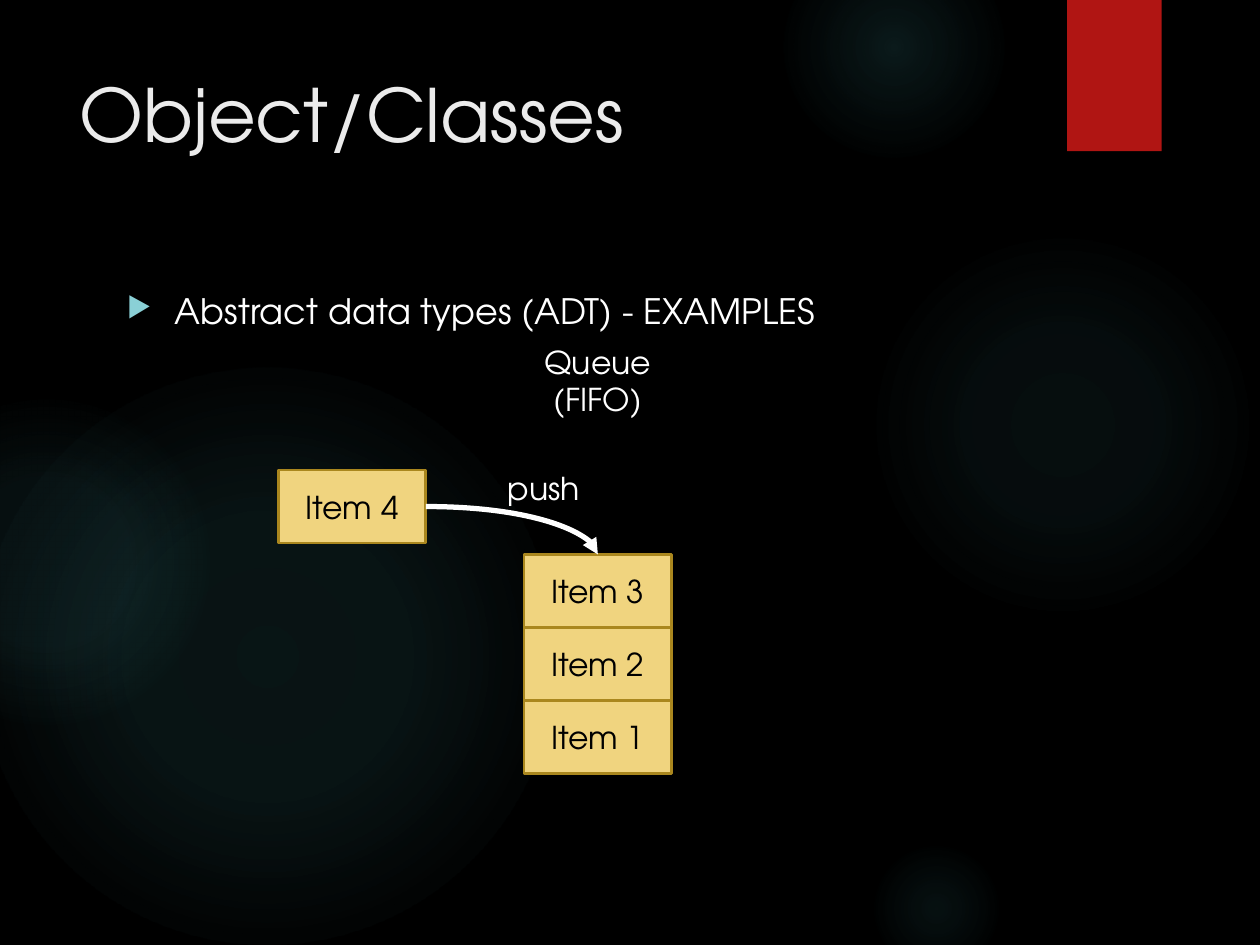
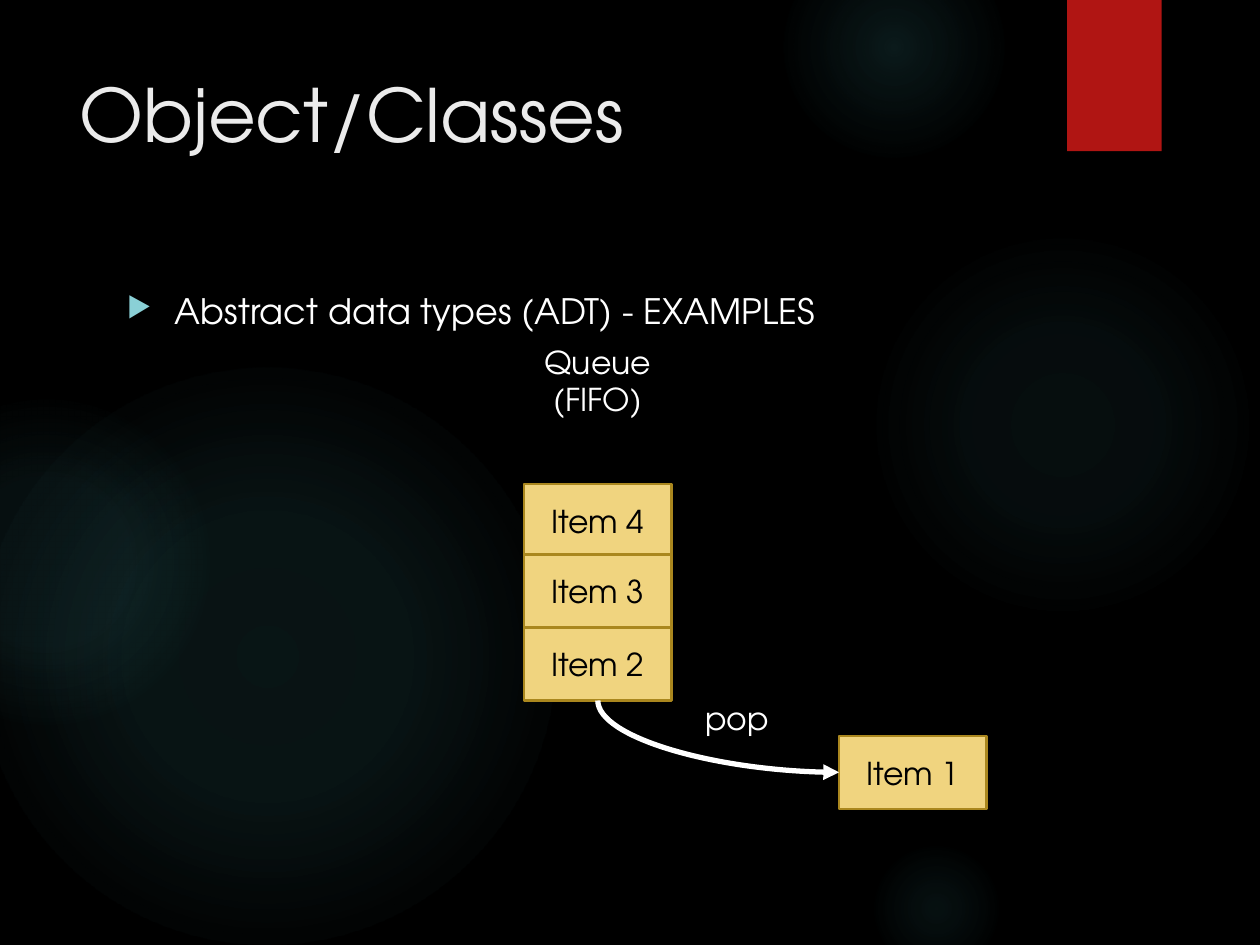
from pptx import Presentation
from pptx.dml.color import RGBColor
from pptx.enum.shapes import MSO_CONNECTOR, MSO_SHAPE
from pptx.enum.text import MSO_ANCHOR, MSO_AUTO_SIZE, PP_ALIGN
from pptx.oxml import parse_xml
from pptx.oxml.ns import nsdecls
from pptx.util import Inches, Pt

CURVE = MSO_CONNECTOR.CURVE
OVAL, RECTANGLE = MSO_SHAPE.OVAL, MSO_SHAPE.RECTANGLE
LEFT, CENTER = PP_ALIGN.LEFT, PP_ALIGN.CENTER
MIDDLE = MSO_ANCHOR.MIDDLE
GROW = MSO_AUTO_SIZE.SHAPE_TO_FIT_TEXT

BLACK = RGBColor(0x00, 0x00, 0x00)
WHITE = RGBColor(0xFF, 0xFF, 0xFF)
TITLE_COLOR = RGBColor(0xEB, 0xEB, 0xEB)
GLOW = RGBColor(0x50, 0xB9, 0xC1)
RED = RGBColor(0xB0, 0x15, 0x13)
BULLET = RGBColor(0x8A, 0xD0, 0xD6)
GOLD = RGBColor(0xF0, 0xD4, 0x7F)
GOLD_EDGE = RGBColor(0xAA, 0x87, 0x1E)
FONT = "TeX Gyre Adventor"

TITLE = "Object/Classes"
TOPIC = "Abstract data types (ADT) - EXAMPLES"
STRUCTURE = ["Queue", "(FIFO)"]

BOX_WIDTH, BOX_HEIGHT = 1.17, 0.58
QUEUE_LEFT, QUEUE_TOP = 4.16, 4.4
TOP_SITE, LEFT_SITE, BOTTOM_SITE, RIGHT_SITE = range(4)

# left, top, diameter, alpha at centre, alpha at 36 %, fade-out position
GLOWS = [
    (6.89, 1.83, 3.08, 7, 6, 69),
    (6.22, -0.5, 1.75, 14, 7, 73),
    (6.89, 6.67, 1.08, 9, 5, 66),
    (-0.17, 2.92, 4.58, 11, 10, 75),
    (-0.92, 3.17, 2.58, 8, 8, 72),
]

STEPS = [
    {
        "queue": ["Item 3", "Item 2", "Item 1"],
        "extra": [("Item 4", 2.21, 3.73)],
        "arrow": ("Item 4", RIGHT_SITE, "Item 3", TOP_SITE),
        "label": ("push", 3.93, 3.67),
    },
    {
        "queue": ["Item 3", "Item 2"],
        "extra": [("Item 4", QUEUE_LEFT, 3.84), ("Item 1", 6.66, 5.84)],
        "arrow": ("Item 2", BOTTOM_SITE, "Item 1", LEFT_SITE),
        "label": ("pop", 5.5, 5.5),
    },
]


def inches(*lengths):
    return [Inches(length) for length in lengths]


def write(shape, lines, size, color, align=LEFT):
    frame = shape.text_frame
    frame.word_wrap = True
    frame.text = "\n".join(lines)
    for paragraph in frame.paragraphs:
        paragraph.alignment = align
        paragraph.font.name = FONT
        paragraph.font.size = Pt(size)
        paragraph.font.color.rgb = color
    return frame


def add_text(slide, place, lines, size, color, align=LEFT):
    return write(slide.shapes.add_textbox(*inches(*place)), lines, size, color, align)


def add_glow(slide, left, top, diameter, center_alpha, middle_alpha, fade):
    shape = slide.shapes.add_shape(OVAL, *inches(left, top, diameter, diameter))
    shape.shadow.inherit = False
    shape.line.fill.background()
    shape.fill.background()
    stops = "".join(
        f'<a:gs pos="{position * 1000}"><a:srgbClr val="{GLOW}">'
        f'<a:alpha val="{alpha * 1000}"/></a:srgbClr></a:gs>'
        for position, alpha in [(0, center_alpha), (36, middle_alpha), (fade, 0)]
    )
    gradient = parse_xml(
        f'<a:gradFill {nsdecls("a")} rotWithShape="1"><a:gsLst>{stops}</a:gsLst>'
        '<a:path path="circle"><a:fillToRect l="50000" t="50000" r="50000" b="50000"/>'
        "</a:path></a:gradFill>"
    )
    properties = shape._element.spPr
    properties.replace(properties.find("{*}noFill"), gradient)


def add_ribbon(slide):
    ribbon = slide.shapes.add_shape(RECTANGLE, *inches(8.47, 0, 0.75, 1.2))
    ribbon.shadow.inherit = False
    ribbon.fill.solid()
    ribbon.fill.fore_color.rgb = RED
    ribbon.line.fill.background()
    ribbon._element.spPr.find("{*}effectLst").append(parse_xml(
        f'<a:outerShdw {nsdecls("a")} blurRad="{Pt(3)}" dist="{Pt(2)}" dir="5400000" '
        f'rotWithShape="0"><a:srgbClr val="{BLACK}"><a:alpha val="45000"/></a:srgbClr>'
        "</a:outerShdw>"
    ))


def add_topic(slide):
    paragraph = add_text(slide, (0.91, 2.25, 7.34, 4.59), [TOPIC], 20, WHITE).paragraphs[0]
    paragraph.space_before = Pt(10)
    properties = paragraph._p.get_or_add_pPr()
    properties.set("marL", str(Inches(0.38)))
    properties.set("indent", str(-Inches(0.38)))
    for bullet in (
        f'<a:buClr {nsdecls("a")}><a:srgbClr val="{BULLET}"/></a:buClr>',
        f'<a:buSzPct {nsdecls("a")} val="80000"/>',
        f'<a:buChar {nsdecls("a")} char="▶"/>',
    ):
        properties.insert_element_before(parse_xml(bullet), "a:tabLst", "a:defRPr", "a:extLst")


def add_item(slide, name, left, top):
    box = slide.shapes.add_shape(RECTANGLE, *inches(left, top, BOX_WIDTH, BOX_HEIGHT))
    box.shadow.inherit = False
    box.fill.solid()
    box.fill.fore_color.rgb = GOLD
    box.line.color.rgb = GOLD_EDGE
    box.line.width = Pt(1.5)
    write(box, [name], 18, BLACK, CENTER).vertical_anchor = MIDDLE
    return box


def add_arrow(slide, source, source_site, target, target_site):
    arrow = slide.shapes.add_connector(CURVE, 0, 0, Inches(1), Inches(1))
    arrow.end_connect(target, target_site)
    arrow.begin_connect(source, source_site)
    arrow.line.color.rgb = WHITE
    arrow.line.width = Pt(3)
    properties = arrow._element.spPr
    properties.find("{*}prstGeom").set("prst", "curvedConnector2")
    arrow.line._get_or_add_ln().append(parse_xml(f'<a:tailEnd {nsdecls("a")} type="triangle"/>'))
    properties.append(parse_xml(f'<a:effectLst {nsdecls("a")}/>'))
    if source_site == BOTTOM_SITE:
        width, height = arrow.width, arrow.height
        arrow.left += (width - height) // 2
        arrow.top += (height - width) // 2
        arrow.width, arrow.height = height, width
        transform = properties.find("{*}xfrm")
        transform.set("rot", "16200000")
        transform.set("flipH", "1")


def add_step(presentation, step):
    slide = presentation.slides.add_slide(presentation.slide_layouts[6])
    slide.background.fill.solid()
    slide.background.fill.fore_color.rgb = BLACK
    for glow in GLOWS:
        add_glow(slide, *glow)
    add_ribbon(slide)
    add_text(slide, (0.53, 0.5, 7.72, 1.53), [TITLE], 42, TITLE_COLOR)
    add_topic(slide)

    queue = [
        (name, QUEUE_LEFT, QUEUE_TOP + row * BOX_HEIGHT)
        for row, name in enumerate(step["queue"])
    ]
    boxes = {
        name: add_item(slide, name, left, top)
        for name, left, top in step["extra"] + queue
    }
    add_text(
        slide, (QUEUE_LEFT, 2.67, BOX_WIDTH, 0.71), STRUCTURE, 18, WHITE, CENTER
    ).auto_size = GROW
    source, source_site, target, target_site = step["arrow"]
    add_arrow(slide, boxes[source], source_site, boxes[target], target_site)
    label, left, top = step["label"]
    add_text(slide, (left, top, 1.23, 0.4), [label], 18, WHITE).auto_size = GROW


def main():
    presentation = Presentation()
    presentation.slide_width, presentation.slide_height = inches(10, 7.5)
    for step in STEPS:
        add_step(presentation, step)
    presentation.save("out.pptx")


if __name__ == "__main__":
    main()
